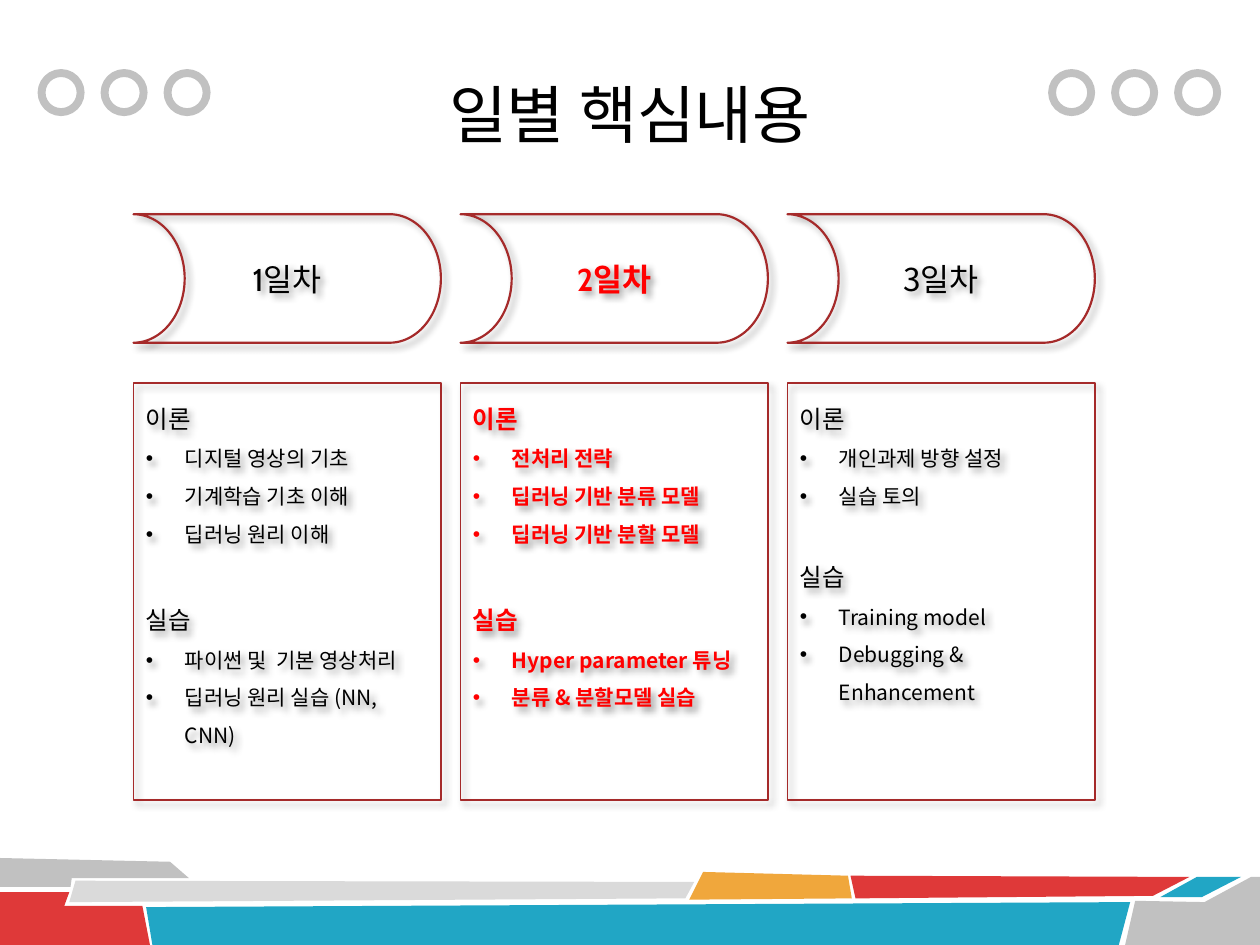
from lxml import etree
from pptx import Presentation
from pptx import util as u
from pptx.dml.color import RGBColor
from pptx.enum import shapes, text
from pptx.oxml import ns

WIDTH, HEIGHT = 10, 7.5
BLACK, RED, BROWN, GREY = "000000", "FF0000", "A52A2A", "C1C1C1"
KOREAN = "Noto Sans CJK KR"
LINE_SPACING = 1.5

# Three columns: outer edges and width; then the two rows as top and height
FIRST_LEFT, LAST_LEFT, COLUMN_WIDTH = 1.06, 6.25, 2.44
DAY_ROW, DETAIL_ROW = (1.7, 1.02), (3.04, 3.31)
INDENT = 0.31

# Each day: label, label font, colour, bold, gap before the practice part, parts
DAYS = [
    ("1일차", "Cabin", BLACK, False, 25, [
        ("이론", ["디지털 영상의 기초", "기계학습 기초 이해", "딥러닝 원리 이해"]),
        ("실습", ["파이썬 및  기본 영상처리", "딥러닝 원리 실습 (NN, CNN)"])]),
    ("2일차", "Cabin", RED, True, 25, [
        ("이론", ["전처리 전략", "딥러닝 기반 분류 모델", "딥러닝 기반 분할 모델"]),
        ("실습", ["Hyper parameter 튜닝", "분류 & 분할모델 실습"])]),
    ("3일차", KOREAN, BLACK, False, 22, [
        ("이론", ["개인과제 방향 설정", "실습 토의"]),
        ("실습", ["Training model", "Debugging & Enhancement"])]),
]

# Footer mosaic: colour and corner points in inches
MOSAIC = [
    (GREY, [(0, 6.81), (1.35, 6.84), (1.5, 6.97), (0.57, 6.97), (0.56, 7.04), (0, 7.04)]),
    ("DF3939", [(0, 7.08), (0.55, 7.08), (0.51, 7.19), (1.13, 7.19), (1.19, 7.5), (0, 7.5)]),
    ("DADADA", [(0.6, 6.99), (5.51, 7), (5.44, 7.13), (0.55, 7.16)]),
    ("21A6C5", [(1.16, 7.2), (8.97, 7.16), (8.88, 7.5), (1.21, 7.5)]),
    ("F0A73C", [(5.58, 6.92), (6.73, 6.95), (6.76, 7.13), (5.47, 7.14)]),
    ("DF3939", [(6.75, 6.95), (9.44, 6.96), (9.15, 7.11), (6.79, 7.13)]),
    ("21A6C5", [(9.5, 6.96), (9.85, 6.96), (9.54, 7.12), (9.21, 7.12)]),
    (GREY, [(9.01, 7.15), (9.56, 7.16), (9.93, 6.96), (10, 6.96), (10, 7.5), (8.93, 7.5)]),
]


def colour(hex_value):
    return RGBColor.from_string(hex_value)


def set_all(target, values):
    for key, value in values.items():
        setattr(target, key, value)


def add_xml(parent, tag, **attributes):
    return etree.SubElement(parent, ns.qn(tag), attributes)


def add_outline(slide, kind, box, line_colour, line_width):
    """Unfilled preset shape; box is left, top, width, height in inches."""
    outline = slide.shapes.add_shape(kind, *map(u.Inches, box))
    outline.shadow.inherit = False
    outline.fill.background()
    outline.line.color.rgb = colour(line_colour)
    outline.line.width = u.Pt(line_width)
    return outline


def add_shadow(outline):
    effects = outline._element.spPr.find(ns.qn("a:effectLst"))
    shadow = add_xml(effects, "a:outerShdw", blurRad=str(u.Pt(4)), dist=str(u.Pt(3)),
                     dir=str(45 * 60000), algn="tl", rotWithShape="0")
    black = add_xml(shadow, "a:srgbClr", val=BLACK)
    add_xml(black, "a:alpha", val="40000")


def write(paragraph, words, size, font, font_colour, bold=False, **layout):
    set_all(paragraph, layout)
    run = paragraph.add_run()
    run.text = words
    set_all(run.font, {"size": u.Pt(size), "name": font, "bold": bold})
    run.font.color.rgb = colour(font_colour)
    add_xml(run.font._element, "a:ea", typeface=KOREAN)


def add_bullet(paragraph):
    properties = paragraph._p.get_or_add_pPr()
    properties.set("marL", str(u.Inches(INDENT)))
    properties.set("indent", str(-u.Inches(INDENT)))
    add_xml(properties, "a:buFont", typeface="Arial")
    add_xml(properties, "a:buChar", char="•")


def add_mosaic(slide):
    for fill, corners in MOSAIC:
        start, *others = [(u.Inches(x), u.Inches(y)) for x, y in corners]
        builder = slide.shapes.build_freeform(*start)
        builder.add_line_segments(others, close=True)
        tile = builder.convert_to_shape()
        tile.shadow.inherit = False
        tile.fill.solid()
        tile.fill.fore_color.rgb = colour(fill)
        tile.line.fill.background()


def add_rings(slide):
    for group_left in (0.33, 8.35):
        for i in range(3):
            add_outline(slide, shapes.MSO_SHAPE.OVAL,
                        (group_left + i * 0.5, 0.58, 0.31, 0.31), GREY, 4.5)


def add_title(slide, words):
    title = slide.shapes.add_textbox(*map(u.Inches, (1.75, 0.12, 6.5, 1.25)))
    set_all(title.text_frame, {"word_wrap": True,
                               "vertical_anchor": text.MSO_ANCHOR.MIDDLE})
    write(title.text_frame.paragraphs[0], words, 36, "Calibri", BLACK,
          alignment=text.PP_ALIGN.CENTER, line_spacing=LINE_SPACING)


def add_day(slide, column, label, label_font, tone, bold, gap, parts):
    left = FIRST_LEFT + column * (LAST_LEFT - FIRST_LEFT) / (len(DAYS) - 1)

    # Day label
    day = add_outline(slide, shapes.MSO_SHAPE.FLOWCHART_STORED_DATA,
                      (left, DAY_ROW[0], COLUMN_WIDTH, DAY_ROW[1]), BROWN, 1.25)
    day._element.spPr.xfrm.set("flipH", "1")
    add_shadow(day)
    day.text_frame.vertical_anchor = text.MSO_ANCHOR.MIDDLE
    write(day.text_frame.paragraphs[0], label, 18, label_font, tone, bold,
          alignment=text.PP_ALIGN.CENTER)

    # Theory and practice
    details = add_outline(slide, shapes.MSO_SHAPE.RECTANGLE,
                          (left, DETAIL_ROW[0], COLUMN_WIDTH, DETAIL_ROW[1]), BROWN, 0.75)
    add_shadow(details)
    frame = details.text_frame
    set_all(frame, {"word_wrap": True, "vertical_anchor": text.MSO_ANCHOR.TOP})
    layout = {"alignment": text.PP_ALIGN.LEFT, "line_spacing": LINE_SPACING}
    for number, (heading, topics) in enumerate(parts):
        paragraph = frame.add_paragraph() if number else frame.paragraphs[0]
        write(paragraph, heading, 14, KOREAN, tone, bold,
              space_before=u.Pt(number * gap), **layout)
        for topic in topics:
            paragraph = frame.add_paragraph()
            write(paragraph, topic, 12, KOREAN, tone, bold, **layout)
            add_bullet(paragraph)


def main():
    deck = Presentation()
    set_all(deck, {"slide_width": u.Inches(WIDTH), "slide_height": u.Inches(HEIGHT)})
    slide = deck.slides.add_slide(deck.slide_layouts[6])

    # Decoration
    add_mosaic(slide)
    add_rings(slide)

    # Content
    for column, day in enumerate(DAYS):
        add_day(slide, column, *day)
    add_title(slide, "일별 핵심내용")
    deck.save("out.pptx")


if __name__ == "__main__":
    main()
